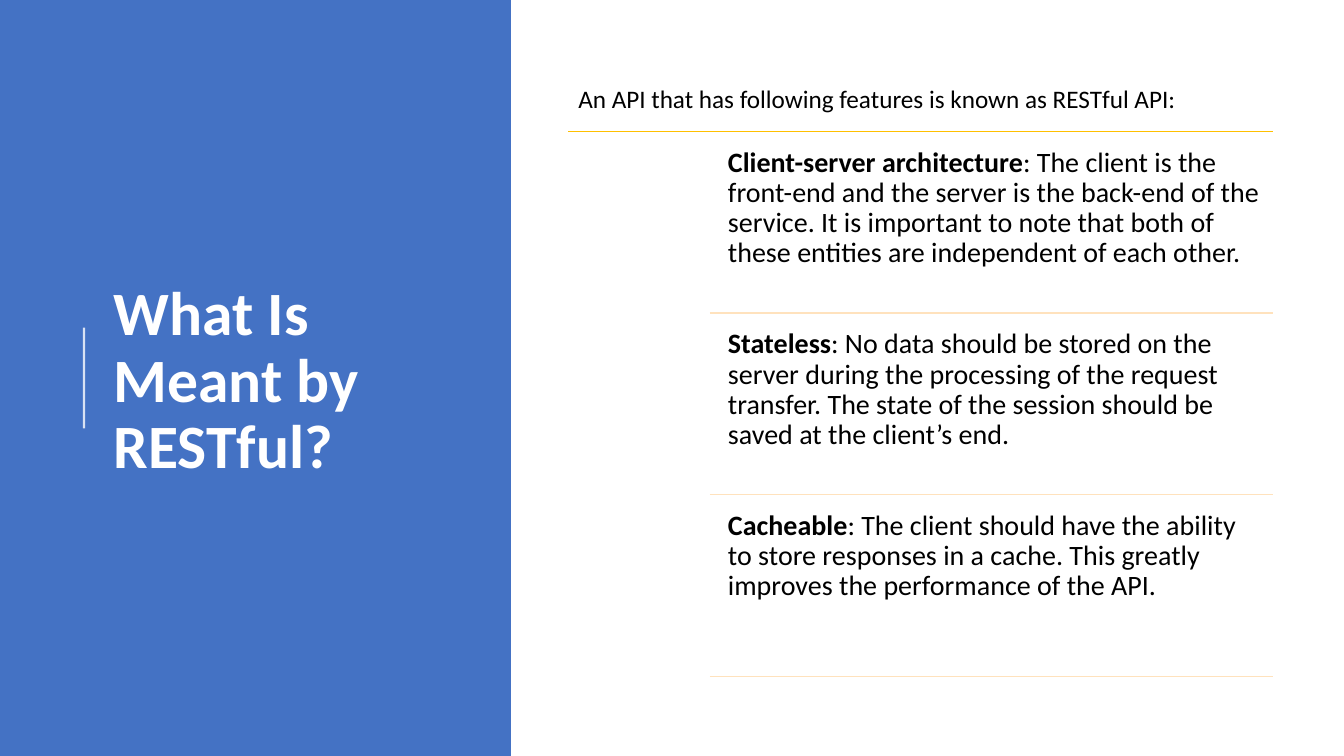
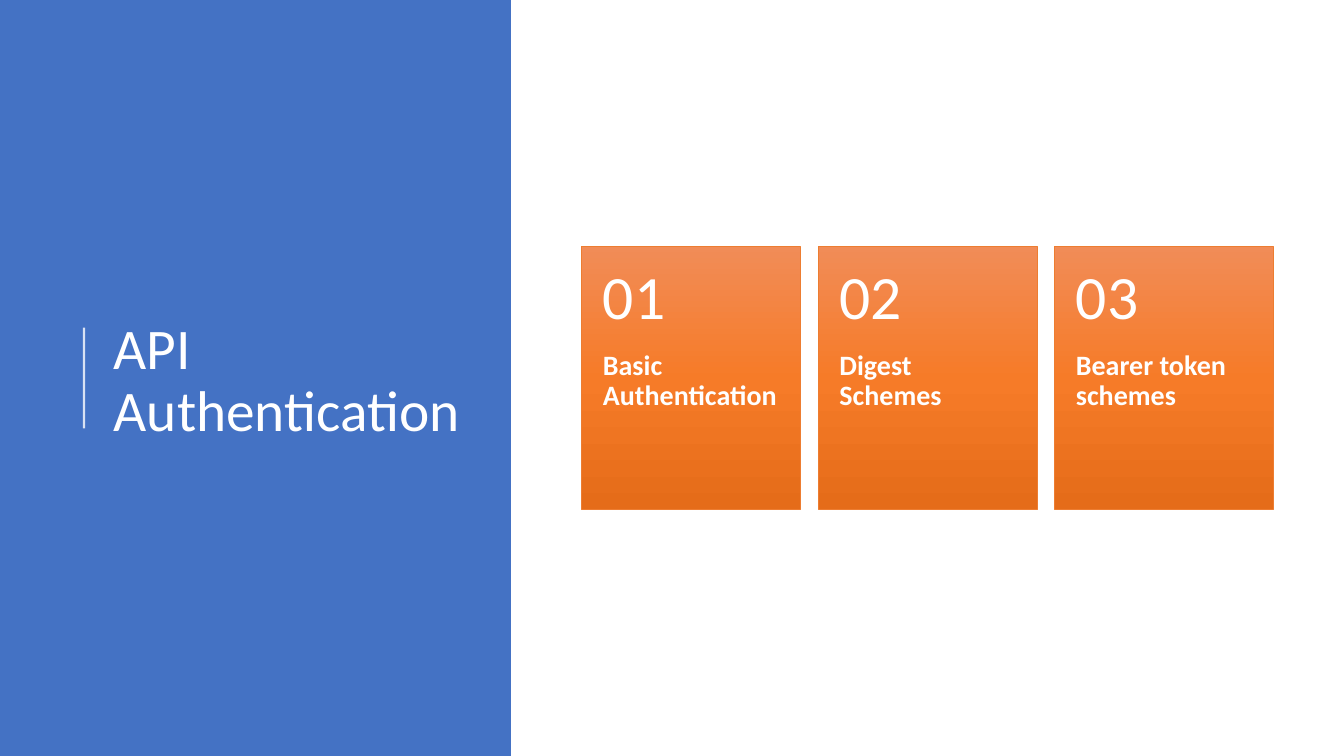
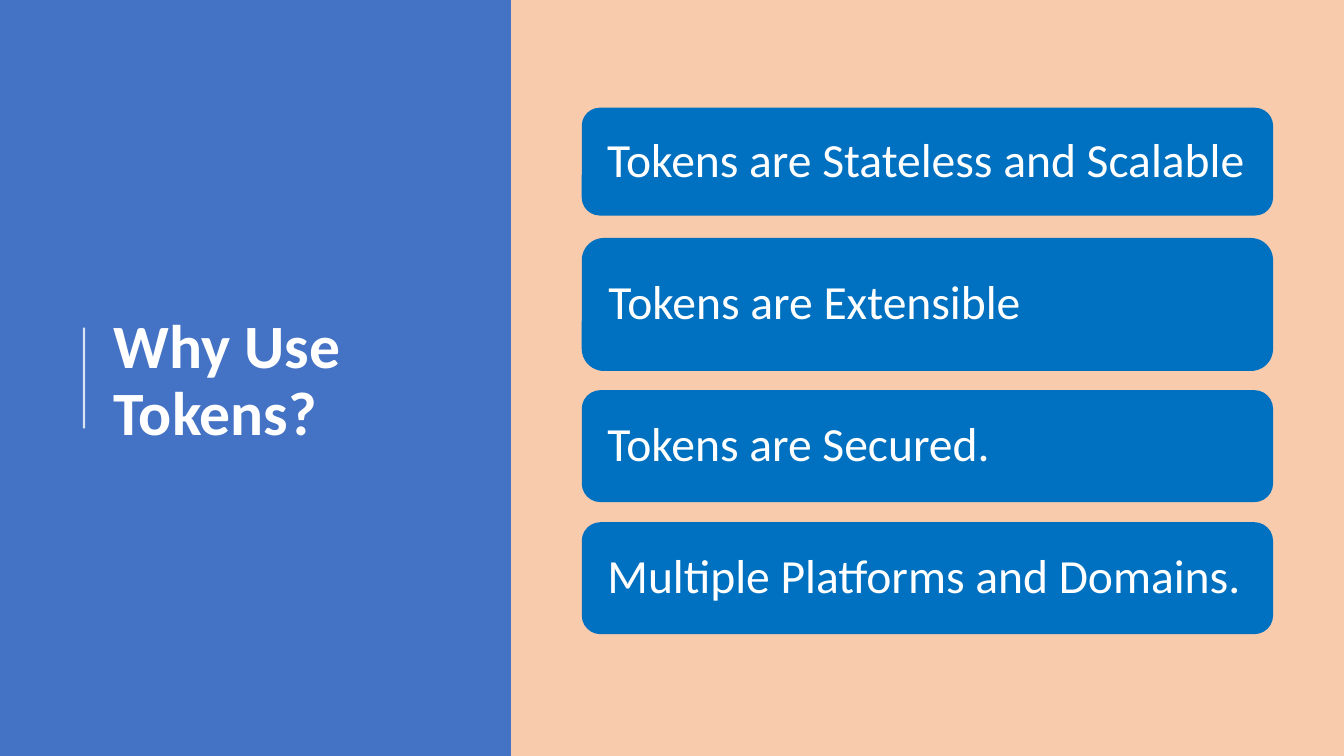
import dataclasses
import pptx
import pptx.dml.color
import pptx.enum.shapes
import pptx.enum.text
import pptx.oxml
import pptx.oxml.ns
import pptx.util

Pt = pptx.util.Pt
SHAPES = pptx.enum.shapes.MSO_SHAPE
ANCHOR = pptx.enum.text.MSO_ANCHOR


# Colours, type sizes and page measures
@dataclasses.dataclass(frozen=True)
class Theme:
    font: str = "Calibri"
    white: str = "FFFFFF"
    black: str = "000000"
    panel: str = "4472C4"
    peach: str = "F8CBAD"
    bar: str = "0070C0"
    gold: str = "FFC000"
    pale_gold: str = "FFE2BD"
    card_edge: str = "ED7D31"
    card_stops: tuple = ((0, "F18C57"), (50, "F67B28"), (100, "E56C19"))
    title_size: float = 44
    small_title_size: float = 41
    number_size: float = 44
    bar_size: float = 34
    body_size: float = 20
    intro_size: float = 18
    line_spacing: float = 0.9
    page_width: float = 960
    page_height: float = 540
    panel_width: float = 365


THEME = Theme()


@dataclasses.dataclass(frozen=True)
class Box:
    left: float
    top: float
    width: float
    height: float

    @property
    def lengths(self):
        return [Pt(n) for n in (self.left, self.top, self.width, self.height)]


# Drawing helpers
def rgb(color):
    return pptx.dml.color.RGBColor.from_string(color)


def add_effect_free(properties):
    properties.append(pptx.oxml.parse_xml(
        f"<a:effectLst {pptx.oxml.ns.nsdecls('a')}/>"))


def add_line(page, start, end, color, width=1, opacity=100):
    line = page.shapes.add_connector(
        pptx.enum.shapes.MSO_CONNECTOR.STRAIGHT, *[Pt(n) for n in start + end])
    line.line.width = Pt(width)
    line.line.color.rgb = rgb(color)
    properties = line._element.spPr
    if opacity < 100:
        solid = properties.find(".//" + pptx.oxml.ns.qn("a:srgbClr"))
        solid.append(pptx.oxml.parse_xml(
            f'<a:alpha {pptx.oxml.ns.nsdecls("a")} val="{opacity * 1000}"/>'))
    add_effect_free(properties)


def add_block(page, box, kind=SHAPES.RECTANGLE, color=None):
    block = page.shapes.add_shape(kind, *box.lengths)
    block.shadow.inherit = False
    block.line.fill.background()
    if color:
        block.fill.solid()
        block.fill.fore_color.rgb = rgb(color)
    return block


def fill_gradient(block, stops):
    block.fill.gradient()
    block.fill.gradient_angle = 270
    stop_list = block._element.spPr.find(".//" + pptx.oxml.ns.qn("a:gsLst"))
    for stop in list(stop_list):
        stop_list.remove(stop)
    for position, color in stops:
        stop_list.append(pptx.oxml.parse_xml(
            f'<a:gs {pptx.oxml.ns.nsdecls("a")} pos="{position * 1000}">'
            f'<a:srgbClr val="{color}"/></a:gs>'))


def write(shape, text, size, color=THEME.white, bold=False, lead="",
          anchor=ANCHOR.TOP, insets=(7.2, 3.6, 7.2, 3.6),
          spacing=THEME.line_spacing):
    """Fill a shape with one paragraph, opened by an optional bold lead."""
    frame = shape.text_frame
    frame.word_wrap = True
    frame.vertical_anchor = anchor
    (frame.margin_left, frame.margin_top,
     frame.margin_right, frame.margin_bottom) = [Pt(n) for n in insets]
    para = frame.paragraphs[0]
    para.alignment = pptx.enum.text.PP_ALIGN.LEFT
    para.line_spacing = spacing
    for words, heavy in ((lead, True), (text, bold)):
        if words:
            span = para.add_run()
            span.text = words
            span.font.name = THEME.font
            span.font.size = Pt(size)
            span.font.bold = heavy
            span.font.color.rgb = rgb(color)


def add_text(page, box, text, size, **form):
    write(page.shapes.add_textbox(*box.lengths), text, size, **form)


# Title panel on the left of every slide
def add_title_panel(page, box, title, size, bold):
    add_block(page, box, color=THEME.panel)
    middle = box.top + box.height / 2
    rule_left = box.left + 60
    add_line(page, (rule_left, middle + 36), (rule_left, middle - 36),
             THEME.white, width=1.5, opacity=80)
    add_text(page, Box(box.left + 74.2, box.top + 56.2, 265.7, 433.4),
             title, size, bold=bold, anchor=ANCHOR.MIDDLE)


def add_page(deck, title, size=THEME.title_size, bold=True,
             background=THEME.white):
    page = deck.slides.add_slide(deck.slide_layouts[6])
    page.background.fill.solid()
    page.background.fill.fore_color.rgb = rgb(background)
    panel = Box(0, 0, THEME.panel_width, THEME.page_height)
    add_title_panel(page, panel, title, size, bold)
    return page


# Features: an intro, then indented rows closed by rules
def add_features(page, box, intro, features):
    intro_height, indent, inset = 37.6, 101, 5.8
    right = box.left + box.width
    add_text(page, Box(box.left, box.top, 488, 51), intro,
             THEME.intro_size, color=THEME.black, spacing=1)
    first = box.top + intro_height
    add_line(page, (box.left, first), (right, first), THEME.gold)
    step = (box.height - intro_height) / len(features)
    row_left = box.left + indent
    text_left = row_left + 7.2
    for index, (name, description) in enumerate(features):
        top = first + index * step
        add_text(page, Box(text_left, top + 6, right - text_left, step - 6),
                 description, THEME.body_size, lead=name, color=THEME.black,
                 insets=(inset,) * 4)
        add_line(page, (row_left, top + step), (right, top + step),
                 THEME.pale_gold)


# Cards: numbered, equally wide, side by side
def add_cards(page, box, labels):
    gap, number_height, side = 12.7, 74.9, 15.1
    width = (box.width - gap * (len(labels) - 1)) / len(labels)
    for index, label in enumerate(labels):
        left = box.left + index * (width + gap)
        card = add_block(page, Box(left, box.top, width, box.height))
        fill_gradient(card, THEME.card_stops)
        card.line.color.rgb = rgb(THEME.card_edge)
        card.line.width = Pt(0.5)
        add_text(page, Box(left, box.top + number_height, width,
                           box.height - number_height),
                 label, THEME.body_size, bold=True, insets=(side, 0, side, 26))
        add_text(page, Box(left, box.top, width, number_height),
                 f"{index + 1:02}", THEME.number_size, anchor=ANCHOR.MIDDLE,
                 insets=(side, 13, side, 13))


# Bars: rounded, stacked, each with its own offset and height
def add_bars(page, box, bars):
    for offset, height, label in bars:
        bar = add_block(page, Box(box.left, box.top + offset, box.width, height),
                        SHAPES.ROUNDED_RECTANGLE, THEME.bar)
        write(bar, label, THEME.bar_size, anchor=ANCHOR.MIDDLE,
              insets=(14.4, 13.6, 14.4, 13.6))


deck = pptx.Presentation()
deck.slide_width = Pt(THEME.page_width)
deck.slide_height = Pt(THEME.page_height)

add_features(
    add_page(deck, "What Is Meant by RESTful?"), Box(406, 56.2, 503.4, 427),
    "An API that has following features is known as RESTful API:",
    [("Client-server architecture",
      ": The client is the front-end and the server is the back-end of the "
      "service. It is important to note that both of these entities are "
      "independent of each other."),
     ("Stateless",
      ": No data should be stored on the server during the processing of the "
      "request transfer. The state of the session should be saved at the "
      "client’s end."),
     ("Cacheable",
      ": The client should have the ability to store responses in a cache. "
      "This greatly improves the performance of the API.")])

add_cards(
    add_page(deck, "API Authentication", THEME.small_title_size, bold=False),
    Box(415.6, 176.2, 494, 187.7),
    ["Basic Authentication", "Digest Schemes", "Bearer token schemes"])

add_bars(
    add_page(deck, "Why Use Tokens?", background=THEME.peach),
    Box(415.6, 77, 493.8, 376),
    [(0, 77, "Tokens are Stateless and Scalable"),
     (93, 95, "Tokens are Extensible"),
     (201.7, 80, "Tokens are Secured."),
     (296, 80, "Multiple Platforms and Domains.")])

deck.save("out.pptx")
